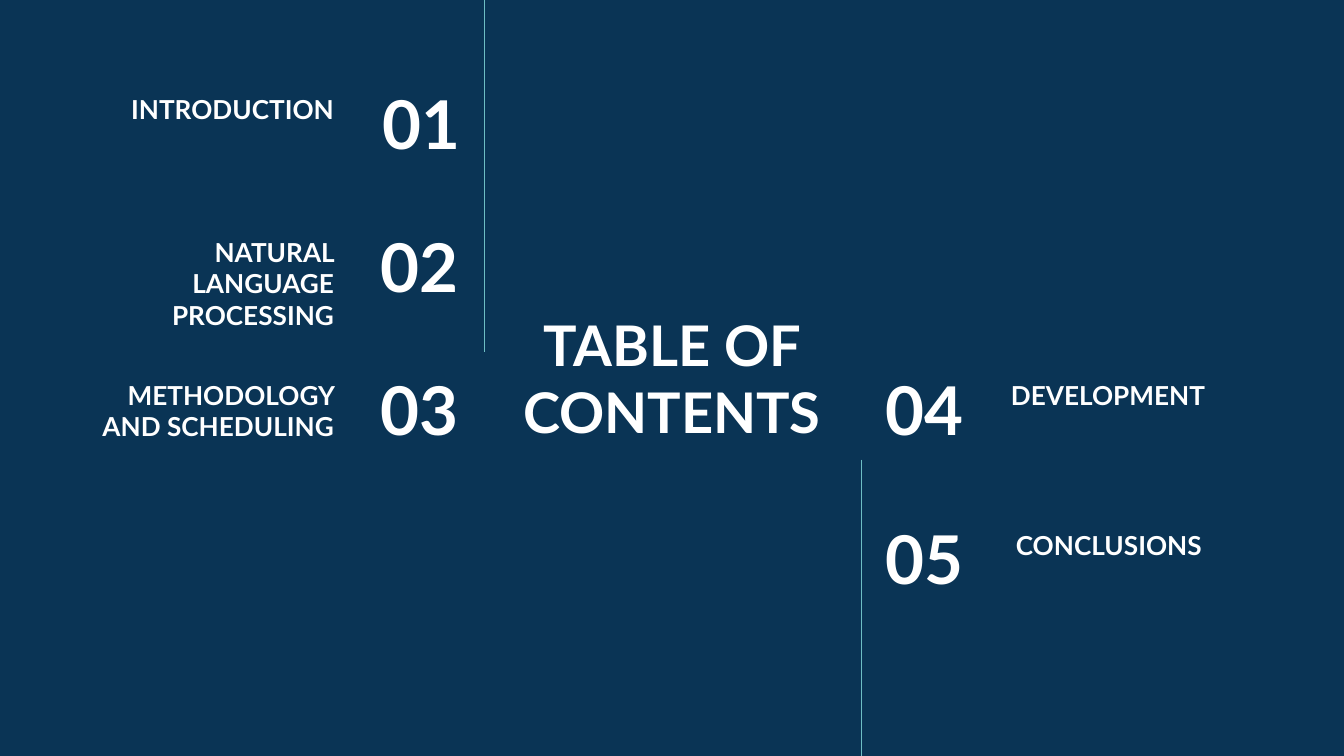
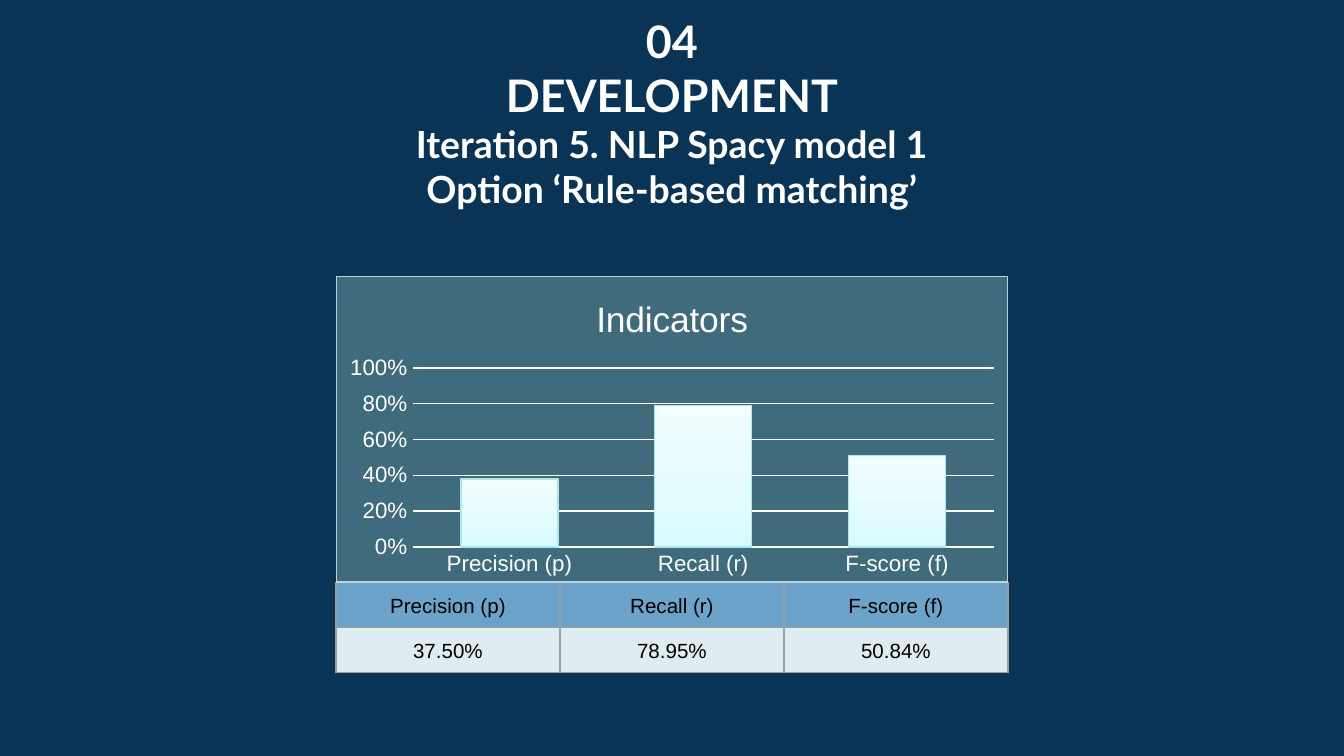
from pptx import Presentation
from pptx.chart.data import CategoryChartData
from pptx.dml.color import RGBColor
from pptx.enum.chart import XL_CHART_TYPE, XL_TICK_MARK
from pptx.enum.shapes import MSO_CONNECTOR
from pptx.enum.text import MSO_ANCHOR, MSO_AUTO_SIZE, PP_ALIGN
from pptx.oxml import parse_xml
from pptx.oxml.ns import nsdecls, qn
from pptx.util import Pt

LEFT, CENTER, RIGHT = PP_ALIGN.LEFT, PP_ALIGN.CENTER, PP_ALIGN.RIGHT
TOP, MIDDLE = MSO_ANCHOR.TOP, MSO_ANCHOR.MIDDLE
NO_AUTOFIT = MSO_AUTO_SIZE.NONE
COLUMNS = XL_CHART_TYPE.COLUMN_CLUSTERED
NO_TICKS = XL_TICK_MARK.NONE
STRAIGHT = MSO_CONNECTOR.STRAIGHT

NAVY, WHITE, BLACK, TEAL = "0A3455", "FFFFFF", "000000", "6EBDC4"
HEADER_BLUE, PALE_BLUE, CELL_BORDER = "6BA3CA", "DFEDF0", "9E9E9E"
CHART_FILL, CHART_BORDER, BAR_BORDER = "3F6B7D", "BAD2DC", "B0E6EB"
BAR_STOPS = [(0, "D6FBFF"), (35, "E2FCFF"), (100, "F3FEFF")]
HEADING_FONT, BODY_FONT = "Lato", "Arial"
TITLE_ONLY = 5
THIN = 0.75

ROW_TOPS = [43, 119.5, 196]
LOWER_TOP = 276.2
ENTRY_HEIGHT = 45.4
LEFT_ENTRIES = [
    ("01", "INTRODUCTION", 166.6),
    ("02", "NATURAL LANGUAGE PROCESSING", 165.6),
    ("03", "METHODOLOGY AND SCHEDULING", 165.6),
]
RIGHT_ENTRIES = [
    ("04", "DEVELOPMENT", 534.5, ROW_TOPS[-1]),
    ("05", "CONCLUSIONS", 537.1, LOWER_TOP),
]
INDICATORS = [
    ("Precision (p)", 0.38, "37.50%"),
    ("Recall (r)", 0.79, "78.95%"),
    ("F-score (f)", 0.51, "50.84%"),
]


def color(value):
    """Turn a hex string into a colour."""
    return RGBColor.from_string(value)


def style_font(font, name, size, value, bold=False):
    """Set the face, size, colour and weight of a font."""
    font.name, font.size, font.bold = name, Pt(size), bold
    font.color.rgb = color(value)


def style_line(line, value):
    """Give a line its colour and the shared thin width."""
    line.color.rgb = color(value)
    line.width = Pt(THIN)


def add_slide(presentation):
    """Add a title-only slide on the navy background."""
    slide = presentation.slides.add_slide(presentation.slide_layouts[TITLE_ONLY])
    slide.background.fill.solid()
    slide.background.fill.fore_color.rgb = color(NAVY)
    return slide


def place(shape, left, top, width, height):
    """Move and size a shape in points."""
    shape.left, shape.top = Pt(left), Pt(top)
    shape.width, shape.height = Pt(width), Pt(height)


def write_heading(shape, lines, alignment, anchor):
    """Write bold heading lines, each a pair of text and size."""
    frame = shape.text_frame
    frame.word_wrap, frame.auto_size = True, NO_AUTOFIT
    frame.vertical_anchor = anchor
    frame.margin_left = frame.margin_right = Pt(7.2)
    frame.margin_top = frame.margin_bottom = Pt(7.2)
    for index, (text, size) in enumerate(lines):
        paragraph = frame.add_paragraph() if index else frame.paragraphs[0]
        paragraph.alignment = alignment
        run = paragraph.add_run()
        run.text = text
        style_font(run.font, HEADING_FONT, size, WHITE, True)


def set_title(slide, box, lines, anchor):
    """Place and write the slide title."""
    place(slide.shapes.title, *box)
    write_heading(slide.shapes.title, lines, CENTER, anchor)


def add_label(slide, box, text, size, alignment, anchor):
    """Add a one-line heading in its own text box."""
    shape = slide.shapes.add_textbox(*(Pt(length) for length in box))
    write_heading(shape, [(text, size)], alignment, anchor)


def add_entry(slide, top, number, number_span, topic, topic_span, alignment):
    """Add a contents entry: a large number and its topic."""
    for text, size, (left, width), anchor in [
        (number, 36, number_span, MIDDLE),
        (topic, 14, topic_span, TOP),
    ]:
        box = (left, top, width, ENTRY_HEIGHT)
        add_label(slide, box, text, size, alignment, anchor)


def add_vertical_line(slide, left, top, bottom):
    """Add a thin teal vertical line."""
    line = slide.shapes.add_connector(STRAIGHT, Pt(left), Pt(top), Pt(left), Pt(bottom))
    style_line(line.line, TEAL)
    line.element.spPr.append(parse_xml(f"<a:effectLst {nsdecls('a')}/>"))


def fill_cell(cell, text, fill):
    """Write, border and fill one table cell."""
    cell.margin_left = cell.margin_right = Pt(5)
    cell.margin_top = cell.margin_bottom = Pt(5)
    paragraph = cell.text_frame.paragraphs[0]
    paragraph.alignment = CENTER
    paragraph.line_spacing, paragraph.space_after = 1.15, Pt(10)
    run = paragraph.add_run()
    run.text = text
    style_font(run.font, BODY_FONT, 11, BLACK)
    properties = cell._tc.get_or_add_tcPr()
    for side in "LRTB":
        properties.append(parse_xml(
            f'<a:ln{side} {nsdecls("a")} w="{Pt(THIN)}"><a:solidFill>'
            f'<a:srgbClr val="{CELL_BORDER}"/></a:solidFill></a:ln{side}>'
        ))
    cell.fill.solid()
    cell.fill.fore_color.rgb = color(fill)


def add_indicator_table(slide, left, top, width, height):
    """Add the table of indicator names and percentages."""
    frame = slide.shapes.add_table(
        2, len(INDICATORS), Pt(left), Pt(top), Pt(width), Pt(height)
    )
    for column, (name, _, percentage) in enumerate(INDICATORS):
        fill_cell(frame.table.cell(0, column), name, HEADER_BLUE)
        fill_cell(frame.table.cell(1, column), percentage, PALE_BLUE)


def fill_chart_area(chart):
    """Fill and outline the whole chart area."""
    chart.element.find(qn("c:chart")).addnext(parse_xml(
        f'<c:spPr {nsdecls("c", "a")}><a:solidFill><a:srgbClr val="{CHART_FILL}"/>'
        f'</a:solidFill><a:ln w="{Pt(THIN)}"><a:solidFill>'
        f'<a:srgbClr val="{CHART_BORDER}"/></a:solidFill></a:ln></c:spPr>'
    ))


def style_bars(chart):
    """Give the bars their gap, outline and upward gradient."""
    plot = chart.plots[0]
    plot.gap_width, plot.overlap, plot.vary_by_categories = 100, -24, False
    style_line(plot.series[0].format.line, BAR_BORDER)
    stops = "".join(
        f'<a:gs pos="{position * 1000}"><a:srgbClr val="{value}"/></a:gs>'
        for position, value in BAR_STOPS
    )
    properties = chart.element.find(f".//{qn('c:ser')}/{qn('c:spPr')}")
    properties.insert(0, parse_xml(
        f'<a:gradFill {nsdecls("a")}><a:gsLst>{stops}</a:gsLst>'
        '<a:lin ang="16200000" scaled="0"/></a:gradFill>'
    ))


def style_axes(chart):
    """Format the category axis and the percentage axis."""
    categories, values = chart.category_axis, chart.value_axis
    for axis in (categories, values):
        axis.major_tick_mark = axis.minor_tick_mark = NO_TICKS
        style_font(axis.tick_labels.font, BODY_FONT, 12, WHITE)
    style_line(categories.format.line, WHITE)
    values.format.line.fill.background()
    values.minimum_scale, values.maximum_scale, values.major_unit = 0, 1, 0.2
    values.tick_labels.number_format = "0%"
    values.tick_labels.number_format_is_linked = False
    style_line(values.major_gridlines.format.line, WHITE)


def add_indicator_chart(slide, left, top, width, height):
    """Add the column chart of indicators."""
    data = CategoryChartData(number_format="0%")
    data.categories = [name for name, _, _ in INDICATORS]
    data.add_series("Series 1", [value for _, value, _ in INDICATORS])
    chart = slide.shapes.add_chart(
        COLUMNS, Pt(left), Pt(top), Pt(width), Pt(height), data
    ).chart
    style_font(chart.font, BODY_FONT, 10, WHITE)
    chart.has_legend = False
    chart.has_title = True
    chart.chart_title.include_in_layout = False
    run = chart.chart_title.text_frame.paragraphs[0].add_run()
    run.text = "Indicators"
    style_font(run.font, BODY_FONT, 19, WHITE)
    fill_chart_area(chart)
    style_axes(chart)
    style_bars(chart)


def build_contents(presentation):
    """Build the table of contents slide."""
    slide = add_slide(presentation)
    set_title(slide, (266.7, 165.2, 186.5, 74.2), [("TABLE OF CONTENTS", 30)], MIDDLE)
    for top, (number, topic, left) in zip(ROW_TOPS, LEFT_ENTRIES):
        add_entry(slide, top, number, (left, 87.1), topic, (30.6, 155.5), RIGHT)
    for number, topic, left, top in RIGHT_ENTRIES:
        add_entry(slide, top, number, (467.3, 67.7), topic, (left, 156), LEFT)
    add_vertical_line(slide, 259.6, 0, 188.6)
    add_vertical_line(slide, 461.5, 246.2, 405)


def build_development(presentation):
    """Build the development slide with its indicators."""
    slide = add_slide(presentation)
    set_title(slide, (86.7, 0.3, 546.5, 118.8), [
        ("04", 24),
        ("DEVELOPMENT", 24),
        ("Iteration 5. NLP Spacy model 1", 20),
        ("Option ‘Rule-based matching’", 20),
    ], TOP)
    add_indicator_table(slide, 180, 312, 360, 48.2)
    add_indicator_chart(slide, 180, 147.8, 360, 164.4)


def main():
    """Build and save the presentation."""
    presentation = Presentation()
    presentation.slide_width, presentation.slide_height = Pt(720), Pt(405)
    build_contents(presentation)
    build_development(presentation)
    presentation.save("out.pptx")


if __name__ == "__main__":
    main()
